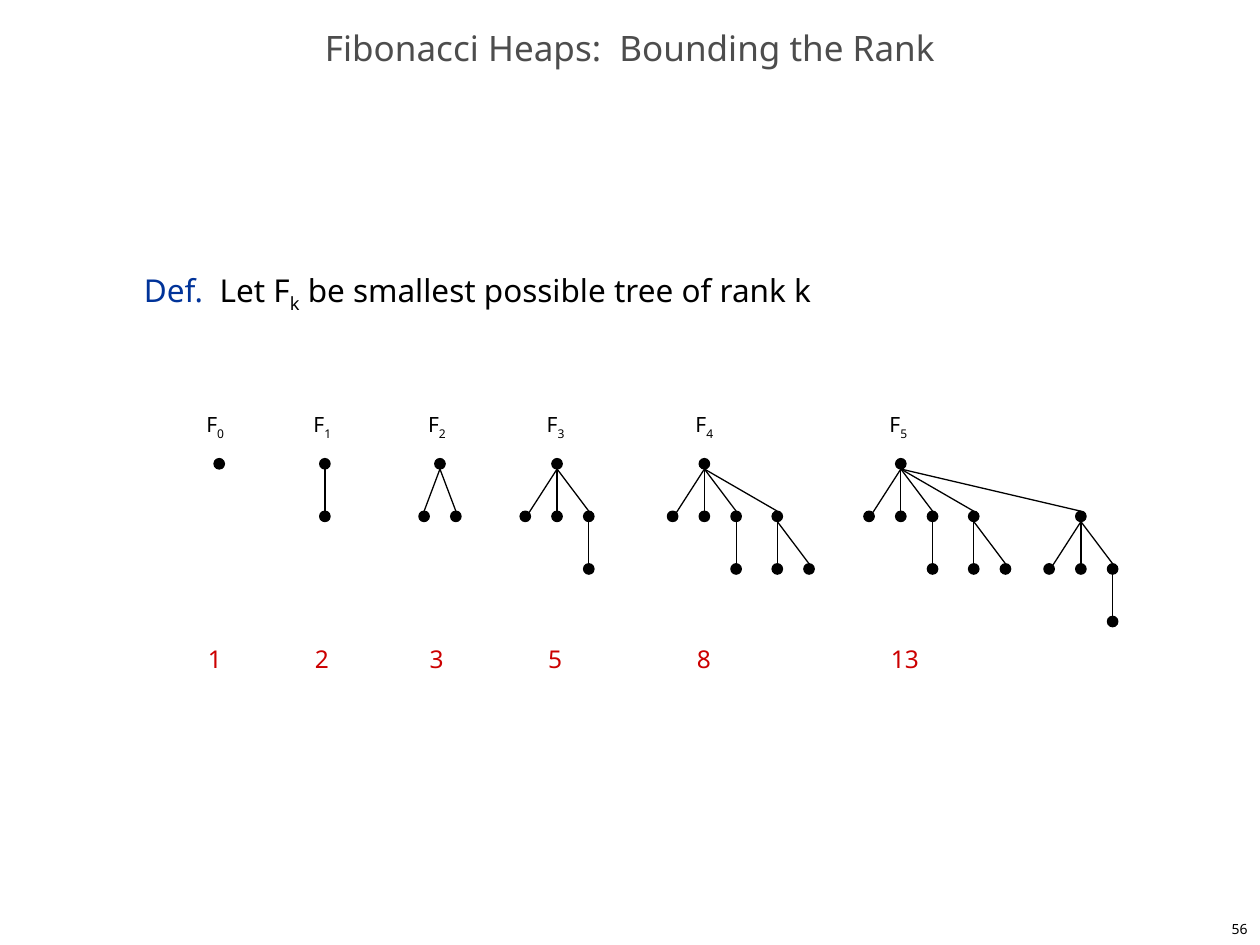
"""Build the slide that shows the smallest Fibonacci heap trees of ranks 0 to 5."""
import pptx
import pptx.dml.color
import pptx.enum.shapes
import pptx.enum.text
import pptx.oxml.ns
import pptx.util
import lxml.etree

Cm, Pt = pptx.util.Cm, pptx.util.Pt
Align = pptx.enum.text.PP_ALIGN
Anchor = pptx.enum.text.MSO_ANCHOR
Kind = pptx.enum.shapes

FONT = "Noto Sans"
BLACK, GREY, BLUE, RED = "000000", "4D4D4D", "003399", "CC0000"
TITLE = [("Fibonacci Heaps:  Bounding the Rank", GREY, 0)]
DEF = [("Def.  ", BLUE, 0), ("Let F", BLACK, 0), ("k", BLACK, -25),
       (" be smallest possible tree of rank k", BLACK, 0)]
PAGE = [("56", BLACK, 0)]
TREES = [(4.42, 3.91, "1"), (6.55, 6.07, "2"), (8.87, 8.38, "3"),
         (11.23, 10.77, "5"), (14.2, 13.77, "8"), (18.16, 17.68, "13")]
SPOTS = [-0.64, 0, 0.64, 1.47, 3.63]
ROOT, STEP, RAD = 9.35, 1.06, 0.105


def paint(code):
    return pptx.dml.color.RGBColor.from_string(code)


def write(slide, box, runs, size, align=Align.LEFT, anchor=Anchor.TOP, gap=None, grow=False):
    shape = slide.shapes.add_textbox(*(Cm(v) for v in box))
    frame = shape.text_frame
    frame.word_wrap = not grow
    if grow:
        frame.auto_size = pptx.enum.text.MSO_AUTO_SIZE.SHAPE_TO_FIT_TEXT
    frame.vertical_anchor = anchor
    para = frame.paragraphs[0]
    para.alignment = align
    if gap:
        para.line_spacing = gap
    for text, color, base in runs:
        run = para.add_run()
        run.text = text
        run.font.name = FONT
        run.font.size = Pt(size)
        run.font.color.rgb = paint(color)
        if base:
            run.font._element.set("baseline", str(base * 1000))


def node(slide, x, y):
    dot = slide.shapes.add_shape(Kind.MSO_SHAPE.OVAL, Cm(x - RAD), Cm(y - RAD),
                                 Cm(2 * RAD), Cm(2 * RAD))
    dot.shadow.inherit = False
    dot.fill.solid()
    dot.fill.fore_color.rgb = paint(BLACK)
    dot.line.color.rgb = paint(BLACK)
    dot.line.width = Pt(0.75)


def edge(slide, *ends):
    line = slide.shapes.add_connector(Kind.MSO_CONNECTOR.STRAIGHT, *(Cm(v) for v in ends))
    line.line.color.rgb = paint(BLACK)
    line.line.width = Pt(0.75)
    lxml.etree.SubElement(line._element.spPr, pptx.oxml.ns.qn("a:effectLst"))


def spread(rank, top):
    if rank < 2:
        return [0] * rank
    if rank == 2:
        return [-0.32, 0.32] if top else [0, 0.64]
    return SPOTS[:rank]


def tree(slide, rank, x, y, top=True):
    node(slide, x, y)
    for spot, move in enumerate(spread(rank, top)):
        kid, low = x + move, y + STEP
        slant = 0.7 * RAD if move == SPOTS[0] else 0
        edge(slide, x, y + RAD, kid + slant, low - (slant or RAD))
        tree(slide, max(spot - 1, 0), kid, low, False)


def main():
    deck = pptx.Presentation()
    deck.slide_width, deck.slide_height = Cm(25.4), Cm(19.05)
    slide = deck.slides.add_slide(deck.slide_layouts[6])
    write(slide, (20.12, 18.42, 5.28, 0.63), PAGE, 8, Align.RIGHT, Anchor.MIDDLE)
    write(slide, (0, 0.43, 25.4, 1.27), TITLE, 20, Align.CENTER, Anchor.MIDDLE, 0.7)
    write(slide, (2.65, 5.29, 22.1, 1.2), DEF, 18, gap=Pt(26))
    for rank, (x, left, count) in enumerate(TREES):
        tree(slide, rank, x, ROOT)
        name = [("F", BLACK, 0), (str(rank), BLACK, -25)]
        write(slide, (left, 8.18, 0.91, 0.84), name, 12, grow=True)
        wide = 0.48 + 0.31 * len(count)
        write(slide, (left + 0.03, 12.85, wide, 0.86), [(count, RED, 0)], 14, grow=True)
    deck.save("out.pptx")


if __name__ == "__main__":
    main()
